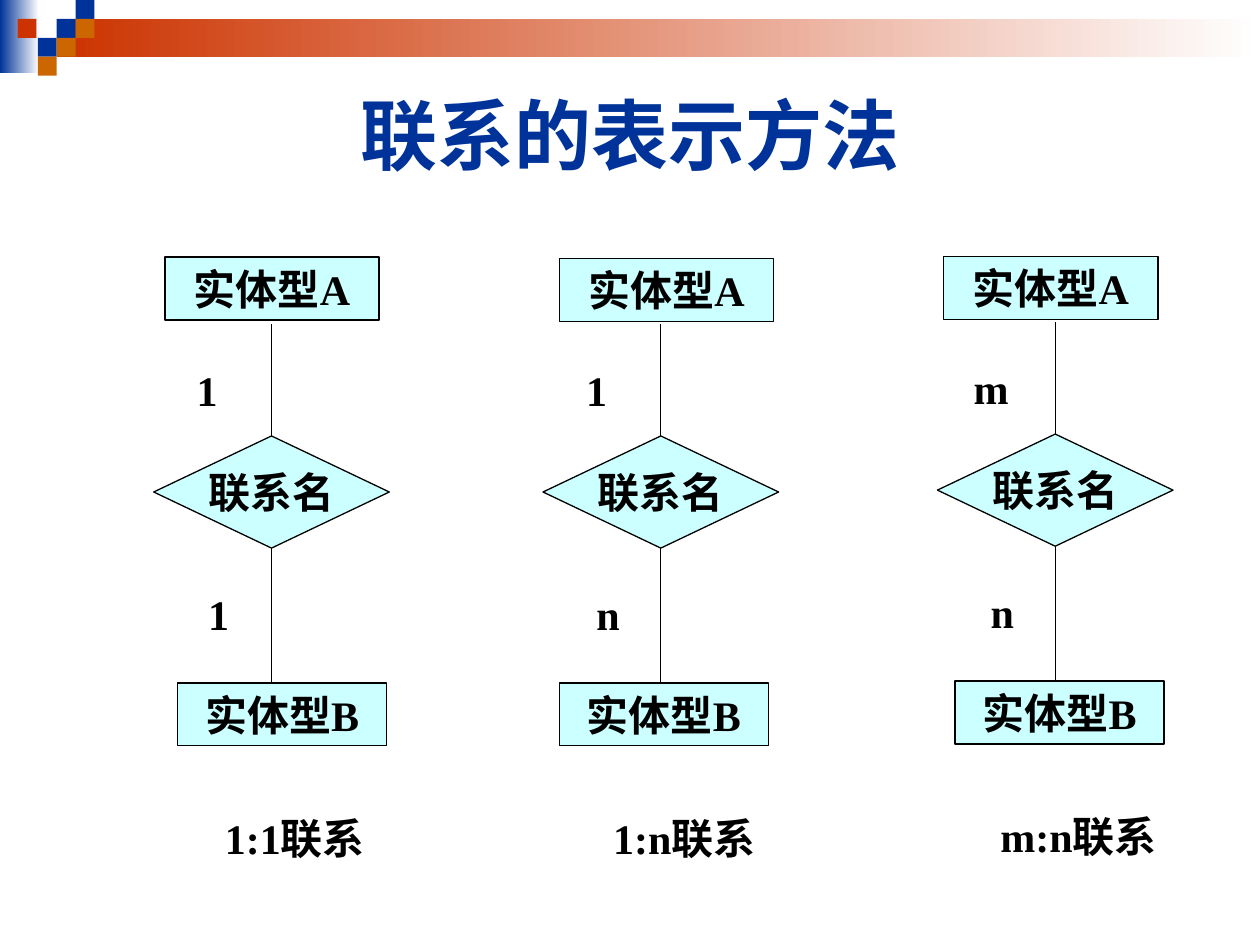
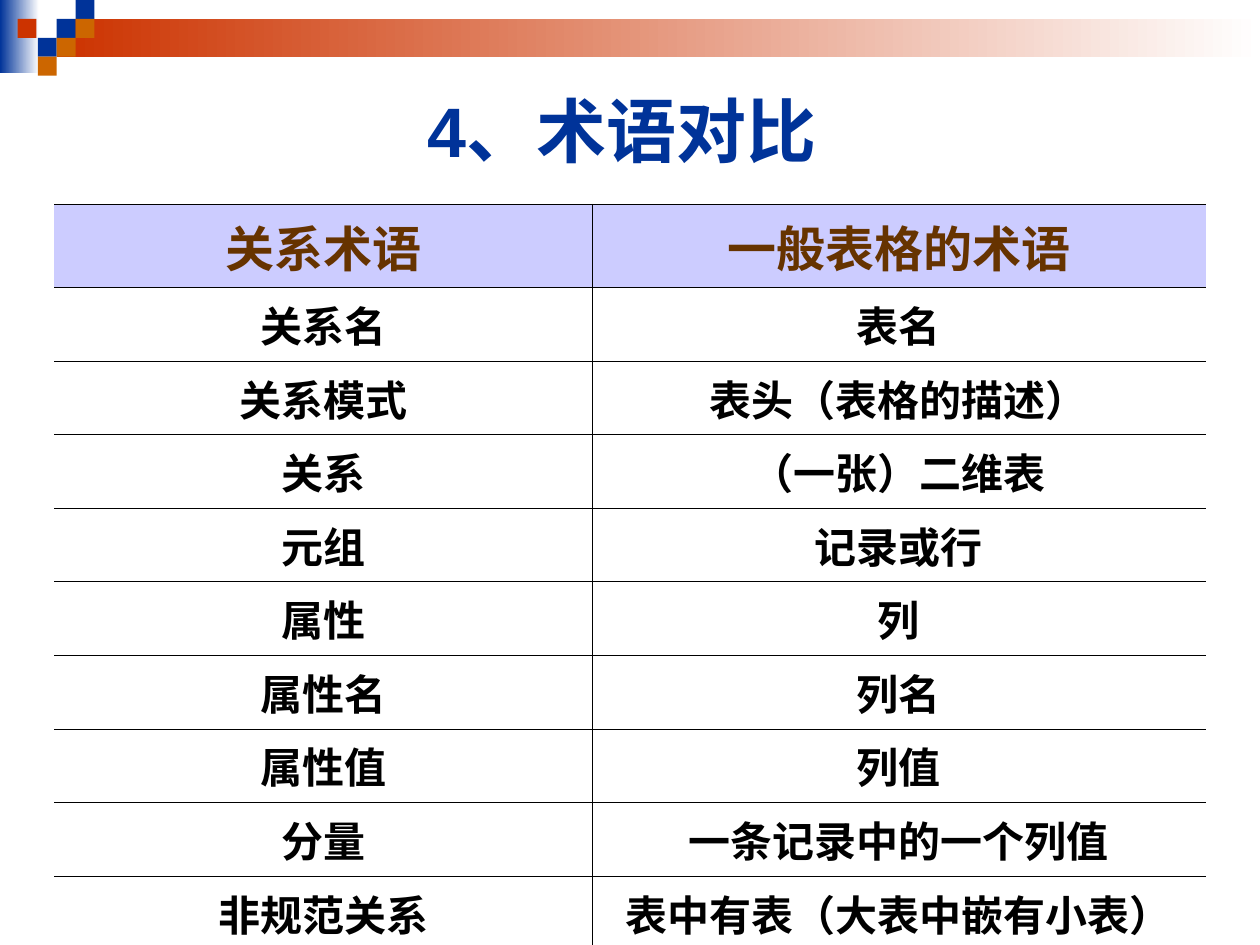
from dataclasses import dataclass

from lxml import etree
from pptx import Presentation, util as u
from pptx.dml.color import RGBColor
from pptx.enum import shapes, text
from pptx.oxml import ns

COLUMNS, ROWS = 100, 75
WIDTH, HEIGHT = u.Inches(10), u.Inches(7.5)

NAVY = RGBColor(0x00, 0x33, 0x99)
RED = RGBColor(0xCC, 0x33, 0x00)
ORANGE = RGBColor(0xCC, 0x66, 0x00)
WHITE = RGBColor(0xFF, 0xFF, 0xFF)
BLACK = RGBColor(0x00, 0x00, 0x00)
AQUA = RGBColor(0xCC, 0xFF, 0xFF)
LILAC = RGBColor(0xCC, 0xCC, 0xFF)
BROWN = RGBColor(0x66, 0x33, 0x00)

TITLE_FONT, BODY_FONT = "Arial", "Times New Roman"
LINE_WIDTH = u.Pt(0.75)
NO_TABLE_STYLE = "{2D5ABB26-0587-4C30-8999-92F81FD0307C}"


@dataclass(frozen=True)
class Area:
    """A rectangle measured in grid columns and rows."""
    left: float
    top: float
    width: float
    height: float

    def emu(self) -> tuple[int, int, int, int]:
        return (across(self.left), down(self.top),
                across(self.width), down(self.height))


@dataclass(frozen=True)
class Stripe:
    area: Area
    colour: RGBColor


@dataclass(frozen=True)
class Tile:
    column: float
    row: float
    colour: RGBColor


@dataclass(frozen=True)
class Relationship:
    """One diagram, placed by its diamond; the shifts move its entities."""
    left: float
    top: float
    upper: str
    lower: str
    shift_a: float
    drop_a: float
    shift_b: float


STRIPES = (Stripe(Area(0, 0, 3.1, 5.8), NAVY),
           Stripe(Area(4.5, 1.5, 95.5, 3), RED))
TILE_SIDE = 1.5
TILES = (Tile(3, 1, NAVY), Tile(4, 0, NAVY), Tile(4, 1, ORANGE), Tile(2, 2, NAVY),
         Tile(0.93, 1, RED), Tile(3, 2, ORANGE), Tile(2, 3, ORANGE))

RELATIONSHIPS = (
    Relationship(12.2, 34.6, "1", "1", 0.9, 0, 1.9),
    Relationship(43.1, 34.6, "1", "n", 1.3, 0.1, 1.3),
    Relationship(74.4, 34.45, "m", "n", 0.5, 0.1, 1.4),
)

TERMS = (
    ("关系术语", "一般表格的术语"),
    ("关系名", "表名"),
    ("关系模式", "表头（表格的描述）"),
    ("关系", "（一张）二维表"),
    ("元组", "记录或行"),
    ("属性", "列"),
    ("属性名", "列名"),
    ("属性值", "列值"),
    ("分量", "一条记录中的一个列值"),
    ("非规范关系", "表中有表（大表中嵌有小表）"),
)


def across(columns: float) -> int:
    return round(WIDTH * columns / COLUMNS)


def down(rows: float) -> int:
    return round(HEIGHT * rows / ROWS)


def write(frame, words: str, size: float, colour: RGBColor = BLACK,
          font: str = BODY_FONT):
    para = frame.paragraphs[0]
    para.alignment = text.PP_ALIGN.CENTER
    span = para.add_run()
    span.text = words
    span.font.name, span.font.size, span.font.bold = font, u.Pt(size), True
    span.font.color.rgb = colour
    return para


def add_plain_shape(page, kind, area: Area):
    shape = page.shapes.add_shape(kind, *area.emu())
    shape.shadow.inherit = False
    shape.line.fill.background()
    return shape


def decorate_master(deck, page) -> None:
    """Draw the corner pattern on a page, then hand it to the master."""
    pattern = []
    for stripe in STRIPES:
        shape = add_plain_shape(page, shapes.MSO_SHAPE.RECTANGLE, stripe.area)
        shape.fill.gradient()
        shape.fill.gradient_angle = 0
        for stop, colour in zip(shape.fill.gradient_stops, (stripe.colour, WHITE)):
            stop.color.rgb = colour
        pattern.append(shape)
    for tile in TILES:
        area = Area(tile.column * TILE_SIDE, tile.row * TILE_SIDE, TILE_SIDE, TILE_SIDE)
        shape = add_plain_shape(page, shapes.MSO_SHAPE.RECTANGLE, area)
        shape.fill.solid()
        shape.fill.fore_color.rgb = tile.colour
        pattern.append(shape)
    for shape in pattern:
        deck.slide_master.shapes.element.append(shape.element)


def add_page(deck, title: str, size: float, height: float):
    page = deck.slides.add_slide(deck.slide_layouts.get_by_name("Title Only"))
    box = page.shapes.title
    box.left, box.top, box.width, box.height = Area(5, 5, 90, height).emu()
    box.text_frame.vertical_anchor = text.MSO_ANCHOR.MIDDLE
    write(box.text_frame, title, size, NAVY, TITLE_FONT)
    return page


def add_node(page, kind, area: Area, words: str, anchor, wrap: bool) -> None:
    shape = add_plain_shape(page, kind, area)
    shape.fill.solid()
    shape.fill.fore_color.rgb = AQUA
    shape.line.color.rgb = BLACK
    shape.line.width = LINE_WIDTH
    shape.text_frame.vertical_anchor = anchor
    shape.text_frame.word_wrap = wrap
    write(shape.text_frame, words, 24)


def add_label(page, area: Area, words: str) -> None:
    box = page.shapes.add_textbox(*area.emu())
    box.text_frame.word_wrap = True
    write(box.text_frame, words, 24)


def add_vertical(page, column: float, start: float, end: float) -> None:
    line = page.shapes.add_connector(
        shapes.MSO_CONNECTOR.STRAIGHT,
        across(column), down(start), across(column), down(end))
    line.line.color.rgb = BLACK
    line.line.width = LINE_WIDTH
    etree.SubElement(line.element.spPr, ns.qn("a:effectLst"))


def draw_relationship(page, item: Relationship) -> None:
    left, top = item.left, item.top
    diamond = Area(left, top, 18.7, 8.9)
    entities = (
        (Area(left + item.shift_a, top - 14.2 + item.drop_a, 17, 5), "实体型A"),
        (Area(left + item.shift_b, top + 19.6, 16.6, 5), "实体型B"),
    )
    for area, words in entities:
        add_node(page, shapes.MSO_SHAPE.RECTANGLE, area, words,
                 text.MSO_ANCHOR.TOP, True)
    add_node(page, shapes.MSO_SHAPE.DIAMOND, diamond, "联系名",
             text.MSO_ANCHOR.MIDDLE, False)

    axis = left + diamond.width / 2
    add_vertical(page, axis, top, top - 8.9)
    add_vertical(page, axis, top + diamond.height, top + 19.6)

    add_label(page, Area(left + 1.9, top - 6.2, 4.7, 5), item.upper)
    add_label(page, Area(left + 2.8, top + 11.6, 4.7, 5), item.lower)
    add_label(page, Area(left + 2.8, top + 29.4, 16.8, 5),
              f"{item.upper}:{item.lower}联系")


def add_cell_borders(cell, sides: tuple[str, ...]) -> None:
    """Put the lines ahead of the cell's fill, as the format requires."""
    properties = cell._tc.get_or_add_tcPr()
    for index, side in enumerate(sides):
        line = etree.Element(ns.qn(f"a:{side}"), w=str(u.Pt(0.45)))
        fill = etree.SubElement(line, ns.qn("a:solidFill"))
        etree.SubElement(fill, ns.qn("a:srgbClr"), val=str(BLACK))
        properties.insert(index, line)


def add_terms_table(page) -> None:
    frame = page.shapes.add_table(len(TERMS), 2, *Area(4.3, 16.2, 91.4, 53.7).emu())
    table = frame.table
    table.first_row = table.horz_banding = False
    style = frame.element.find(f".//{ns.qn('a:tableStyleId')}")
    style.text = NO_TABLE_STYLE
    for column, width in zip(table.columns, (42.7, 48.7)):
        column.width = across(width)
    for row_index, terms in enumerate(TERMS):
        header = row_index == 0
        table.rows[row_index].height = down(6 if header else 5.3)
        for column_index, words in enumerate(terms):
            cell = table.cell(row_index, column_index)
            if header:
                cell.fill.solid()
                cell.fill.fore_color.rgb = LILAC
            else:
                cell.fill.background()
            inner_side = "lnL" if column_index else "lnR"
            add_cell_borders(cell, (inner_side, "lnT", "lnB"))
            para = write(cell.text_frame, words, 28 if header else 24,
                         BROWN if header else BLACK)
            indent = para._p.get_or_add_pPr()
            indent.set("marL", str(across(3.8)))
            indent.set("indent", str(-across(3.8)))


def main() -> None:
    deck = Presentation()
    deck.slide_width, deck.slide_height = WIDTH, HEIGHT

    diagrams = add_page(deck, "联系的表示方法", 44, 11.2)
    decorate_master(deck, diagrams)
    for item in RELATIONSHIPS:
        draw_relationship(diagrams, item)

    add_terms_table(add_page(deck, "4、术语对比 ", 40, 10.5))
    deck.save("out.pptx")


if __name__ == "__main__":
    main()
